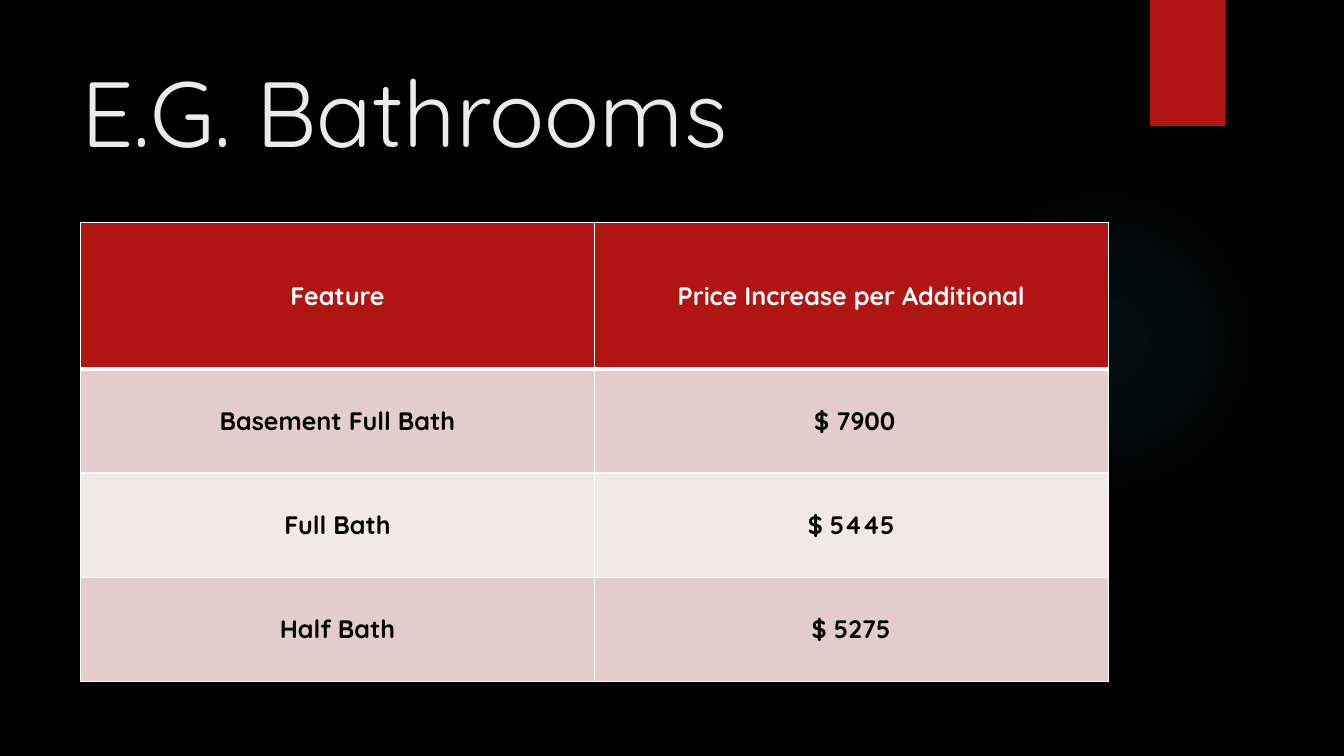
from dataclasses import dataclass

import lxml.etree
import pptx
import pptx.dml.color
import pptx.enum.shapes
import pptx.enum.text
import pptx.oxml
import pptx.oxml.ns
import pptx.util

Pt = pptx.util.Pt
FONT = "Quicksand"
COLORS = {
    "background": "000000",
    "accent": "B01513",
    "glow": "50B9C1",
    "title": "EBEBEB",
    "white": "FFFFFF",
    "black": "000000",
    "band_dark": "E4CCCC",
    "band_light": "F2E8E7",
}
COLUMN_WIDTH = 367
THIN, THICK = 1, 3


@dataclass(frozen=True)
class TableRow:
    texts: tuple[str, str]
    height: float
    fill: str
    text_color: str = "black"
    top_line: float = THIN
    bottom_line: float = THIN


@dataclass(frozen=True)
class Decoration:
    kind: pptx.enum.shapes.MSO_SHAPE
    left: float
    top: float
    width: float
    height: float


ROWS = (
    TableRow(("Feature", "Price Increase per Additional"), 104.4, "accent", "white", bottom_line=THICK),
    TableRow(("Basement Full Bath", " $ 7900"), 74.4, "band_dark", top_line=THICK),
    TableRow(("Full Bath", "$ 5445"), 74.4, "band_light"),
    TableRow(("Half Bath", "$ 5275"), 74.4, "band_dark"),
)
GLOW = Decoration(pptx.enum.shapes.MSO_SHAPE.OVAL, 677.5, 131.75, 221.75, 221.75)
RIBBON = Decoration(pptx.enum.shapes.MSO_SHAPE.RECTANGLE, 821.5, 0, 54, 90)
GLOW_STOPS = ((0, 7), (36, 6), (69, 0))


def rgb(name: str) -> pptx.dml.color.RGBColor:
    return pptx.dml.color.RGBColor.from_string(COLORS[name])


def parse_drawing(xml: str) -> lxml.etree._Element:
    """Parse one drawing element, declaring its namespace on the root tag."""
    tag = xml.split(maxsplit=1)[0].rstrip(">")
    return pptx.oxml.parse_xml(xml.replace(tag, f"{tag} {pptx.oxml.ns.nsdecls('a')}", 1))


def style_font(font, size: float, color: str, bold: bool = False) -> None:
    font.name = FONT
    font.size = Pt(size)
    font.bold = bold
    font.color.rgb = rgb(color)


def add_decoration(slide, decoration: Decoration, fill: str):
    shape = slide.shapes.add_shape(
        decoration.kind,
        Pt(decoration.left), Pt(decoration.top),
        Pt(decoration.width), Pt(decoration.height),
    )
    shape.fill.solid()
    shape.fill.fore_color.rgb = rgb(fill)
    shape.line.fill.background()
    shape.shadow.inherit = False
    return shape


def add_glow(slide) -> None:
    shape = add_decoration(slide, GLOW, "glow")
    stops = "".join(
        f'<a:gs pos="{position * 1000}"><a:srgbClr val="{COLORS["glow"]}">'
        f'<a:alpha val="{opacity * 1000}"/></a:srgbClr></a:gs>'
        for position, opacity in GLOW_STOPS
    )
    gradient = parse_drawing(
        f'<a:gradFill rotWithShape="1"><a:gsLst>{stops}</a:gsLst><a:path path="circle">'
        '<a:fillToRect l="50000" t="50000" r="50000" b="50000"/></a:path></a:gradFill>'
    )
    properties = shape._element.spPr
    properties.replace(properties.find(pptx.oxml.ns.qn("a:solidFill")), gradient)


def add_ribbon(slide) -> None:
    shape = add_decoration(slide, RIBBON, "accent")
    effects = shape._element.spPr.find(pptx.oxml.ns.qn("a:effectLst"))
    effects.append(parse_drawing(
        f'<a:outerShdw blurRad="{Pt(3)}" dist="{Pt(2)}" dir="5400000" rotWithShape="0">'
        f'<a:srgbClr val="{COLORS["black"]}"><a:alpha val="45000"/></a:srgbClr></a:outerShdw>'
    ))


def format_title(slide) -> None:
    title = slide.shapes.title
    title.left, title.top, title.width, title.height = Pt(51), Pt(36), Pt(741), Pt(110)
    frame = title.text_frame
    frame.text = "E.G. Bathrooms"
    frame.word_wrap = True
    frame.auto_size = pptx.enum.text.MSO_AUTO_SIZE.NONE
    frame.vertical_anchor = pptx.enum.text.MSO_ANCHOR.TOP
    para = frame.paragraphs[0]
    para.alignment = pptx.enum.text.PP_ALIGN.LEFT
    style_font(para.font, 66, "title")


def set_borders(cell, row: TableRow) -> None:
    properties = cell._tc.get_or_add_tcPr()
    widths = {"lnL": THIN, "lnR": THIN, "lnT": row.top_line, "lnB": row.bottom_line}
    for index, (side, width) in enumerate(widths.items()):
        properties.insert(index, parse_drawing(
            f'<a:{side} w="{Pt(width)}"><a:solidFill>'
            f'<a:srgbClr val="{COLORS["white"]}"/></a:solidFill></a:{side}>'
        ))


def fill_cell(cell, text: str, row: TableRow) -> None:
    cell.text = text
    cell.vertical_anchor = pptx.enum.text.MSO_ANCHOR.MIDDLE
    cell.fill.solid()
    cell.fill.fore_color.rgb = rgb(row.fill)
    para = cell.text_frame.paragraphs[0]
    para.alignment = pptx.enum.text.PP_ALIGN.CENTER
    style_font(para.font, 18, row.text_color, bold=True)
    set_borders(cell, row)


def add_price_table(slide) -> None:
    column_count = len(ROWS[0].texts)
    table = slide.shapes.add_table(
        len(ROWS), column_count, Pt(57.6), Pt(159.1),
        Pt(COLUMN_WIDTH * column_count), Pt(sum(row.height for row in ROWS)),
    ).table
    for column in table.columns:
        column.width = Pt(COLUMN_WIDTH)
    for row_index, row in enumerate(ROWS):
        table.rows[row_index].height = Pt(row.height)
        for column_index, text in enumerate(row.texts):
            fill_cell(table.cell(row_index, column_index), text, row)


def main() -> None:
    deck = pptx.Presentation()
    deck.slide_width, deck.slide_height = Pt(960), Pt(540)
    slide = deck.slides.add_slide(deck.slide_layouts.get_by_name("Title Only"))
    slide.background.fill.solid()
    slide.background.fill.fore_color.rgb = rgb("background")
    add_glow(slide)
    add_ribbon(slide)
    format_title(slide)
    add_price_table(slide)
    deck.save("out.pptx")


if __name__ == "__main__":
    main()
